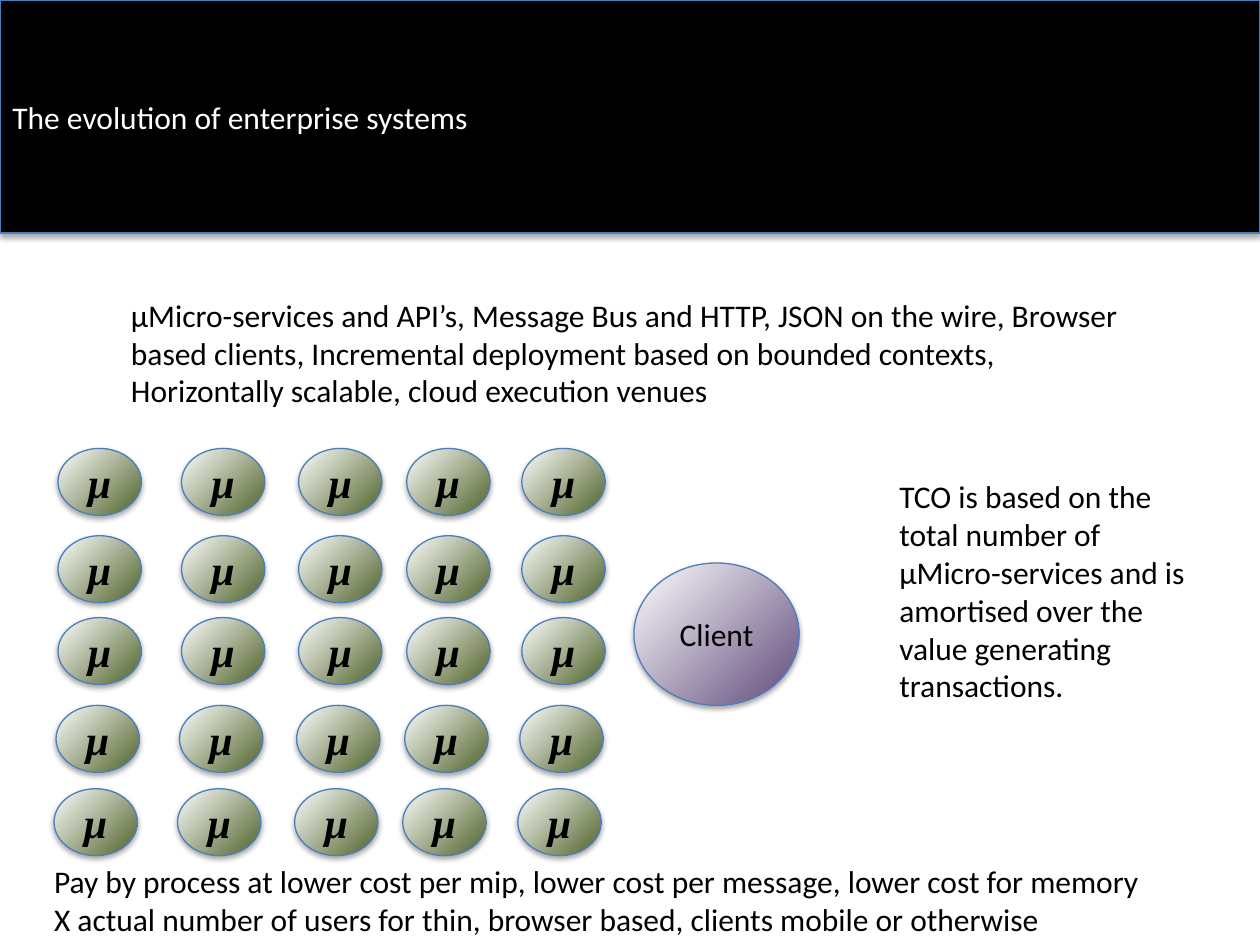
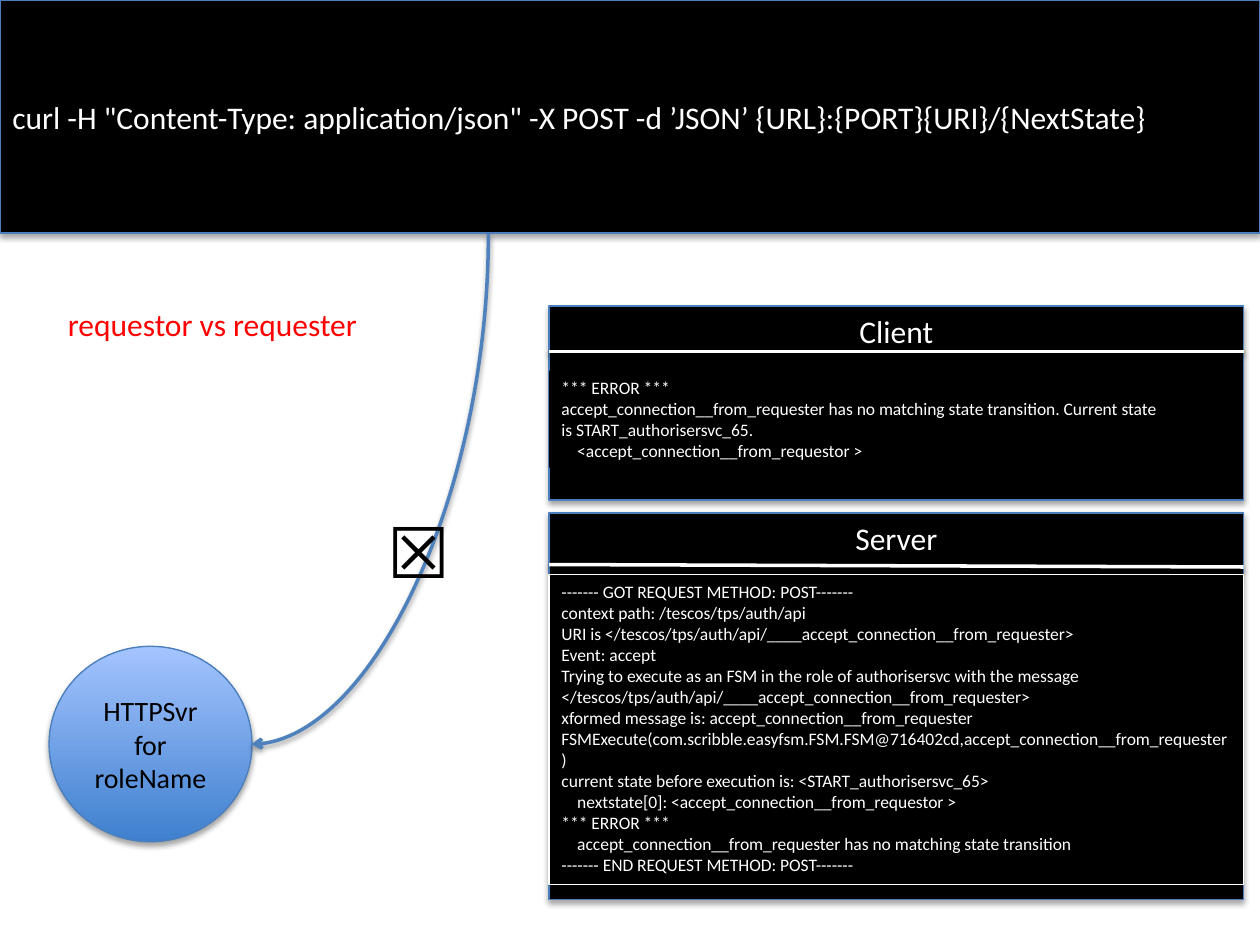
from lxml.etree import SubElement
from pptx import Presentation
from pptx.dml.color import RGBColor
from pptx.enum.shapes import MSO_CONNECTOR, MSO_SHAPE
from pptx.enum.text import MSO_ANCHOR, MSO_AUTO_SIZE, PP_ALIGN
from pptx.oxml.ns import qn
from pptx.util import Cm, Pt

BLACK, WHITE, RED = "000000", "FFFFFF", "FF0000"
OUTLINE, ARROW = "4B7EBC", "4F81BD"
OLIVE, PURPLE = "4F6228", "604A7B"
SKY_DARK, SKY_LIGHT = "3F80CE", "A4C4FF"

BODY = {"name": "Calibri", "size": Pt(18)}
NODE = {"name": "Calibri", "size": Pt(16)}
LOG = {"name": "Calibri", "size": Pt(10)}
CROSS = {"name": "Arial", "size": Pt(40)}
MU = {"name": "Times New Roman", "size": Pt(24), "bold": True, "italic": True}

SERVICE_COLUMNS = (1.17, 3.66, 6.02, 8.2, 10.52)
SERVICE_ROWS = ((9.04, 0), (10.8, 0), (12.45, 0), (14.22, -0.04), (15.9, -0.08))

PANEL_LEFT, PANEL_WIDTH = 11.07, 14

CLIENT_LOG = (
    "*** ERROR ***",
    "accept_connection__from_requester has no matching state transition. "
    "Current state is START_authorisersvc_65.",
    "    <accept_connection__from_requestor >",
)
SERVER_LOG = (
    "------- GOT REQUEST METHOD: POST-------",
    "context path: /tescos/tps/auth/api",
    "URI is </tescos/tps/auth/api/____accept_connection__from_requester>",
    "Event: accept",
    "Trying to execute as an FSM in the role of authorisersvc with the message "
    "</tescos/tps/auth/api/____accept_connection__from_requester>",
    "xformed message is: accept_connection__from_requester",
    "FSMExecute(com.scribble.easyfsm.FSM.FSM@716402cd,accept_connection__from_requester)",
    "current state before execution is: <START_authorisersvc_65>",
    "    nextstate[0]: <accept_connection__from_requestor >",
    "*** ERROR ***",
    "    accept_connection__from_requester has no matching state transition",
    "------- END REQUEST METHOD: POST-------",
)


def colour(value):
    return RGBColor.from_string(value)


def lengths(*values):
    return [Cm(value) for value in values]


def write(shape, lines, formats, ink, align=PP_ALIGN.LEFT, anchor=MSO_ANCHOR.TOP, wrap=True):
    frame = shape.text_frame
    frame.word_wrap = wrap
    frame.vertical_anchor = anchor
    for index, line in enumerate(lines):
        para = frame.add_paragraph() if index else frame.paragraphs[0]
        para.alignment = align
        span = para.add_run()
        span.text = line
        for name, value in formats.items():
            setattr(span.font, name, value)
        span.font.color.rgb = colour(ink)


def cast_shadow(item, distance=23000, alpha=35000):
    effects = SubElement(item._element.spPr, qn("a:effectLst"))
    shadow = SubElement(effects, qn("a:outerShdw"), blurRad="40000", dist=str(distance),
                        dir="5400000", rotWithShape="0")
    tint = SubElement(shadow, qn("a:srgbClr"), val=BLACK)
    SubElement(tint, qn("a:alpha"), val=str(alpha))


def add_outline(shape, ink=OUTLINE):
    shape.line.color.rgb = colour(ink)
    shape.line.width = Pt(0.75)


def add_block(page, place):
    block = page.shapes.add_shape(MSO_SHAPE.RECTANGLE, *lengths(*place))
    block.fill.solid()
    block.fill.fore_color.rgb = colour(BLACK)
    return block


def add_panel(page, place, label, align, anchor):
    panel = add_block(page, place)
    add_outline(panel)
    cast_shadow(panel)
    write(panel, [label], BODY, WHITE, align, anchor)


def add_title_band(page, title):
    add_panel(page, (0, 0, 25.4, 4.7), title, PP_ALIGN.LEFT, MSO_ANCHOR.MIDDLE)


def add_log(page, place, lines, ink=None):
    log = add_block(page, place)
    if ink:
        add_outline(log, ink)
    else:
        log.line.fill.background()
    log.shadow.inherit = False
    write(log, lines, LOG, WHITE)
    log.text_frame.auto_size = MSO_AUTO_SIZE.SHAPE_TO_FIT_TEXT


def add_ellipse(page, place, lines, formats, dark, light=WHITE, radial=True):
    ellipse = page.shapes.add_shape(MSO_SHAPE.OVAL, *lengths(*place))
    ellipse.fill.gradient()
    ellipse.fill.gradient_angle = 90
    for stop, ink in zip(ellipse.fill.gradient_stops, (dark, light)):
        stop.color.rgb = colour(ink)
    if radial:
        gradient = ellipse._element.spPr.find(qn("a:gradFill"))
        gradient.remove(gradient.find(qn("a:lin")))
        route = SubElement(gradient, qn("a:path"), path="circle")
        SubElement(route, qn("a:fillToRect"), l="100000", t="100000", r="0", b="0")
    add_outline(ellipse)
    cast_shadow(ellipse)
    write(ellipse, lines, formats, BLACK, PP_ALIGN.CENTER, MSO_ANCHOR.MIDDLE)


def add_note(page, place, lines, formats=BODY, ink=BLACK, wrap=True):
    box = page.shapes.add_textbox(*lengths(*place))
    write(box, lines, formats, ink, wrap=wrap)
    box.text_frame.auto_size = MSO_AUTO_SIZE.SHAPE_TO_FIT_TEXT


def add_line(page, ends, ink, kind=MSO_CONNECTOR.STRAIGHT):
    line = page.shapes.add_connector(kind, *lengths(*ends))
    line.line.color.rgb = colour(ink)
    line.line.width = Pt(2)
    cast_shadow(line, 20000, 38000)
    return line


def add_request_arrow(page):
    arrow = add_line(page, (2.31, 7.47, 12.6, 12.25), ARROW, MSO_CONNECTOR.CURVE)
    properties = arrow._element.spPr
    properties.find(qn("a:xfrm")).set("rot", "5400000")
    properties.find(qn("a:prstGeom")).set("prst", "curvedConnector2")
    SubElement(properties.find(qn("a:ln")), qn("a:tailEnd"), type="arrow")


def build_evolution(page):
    add_title_band(page, "The evolution of enterprise systems")
    add_note(page, (2.39, 5.84, 21.41, 2.57), [
        "μMicro-services and API’s, Message Bus and HTTP, JSON on the wire, Browser based "
        "clients, Incremental deployment based on bounded contexts,",
        "Horizontally scalable, cloud execution venues",
    ])
    add_ellipse(page, (12.78, 11.35, 3.33, 2.87), ["Client"], BODY, PURPLE)
    add_note(page, (0.84, 17.25, 22.73, 1.8), [
        "Pay by process at lower cost per mip, lower cost per message, lower cost for memory",
        "X actual number of users for thin, browser based, clients mobile or otherwise",
    ], wrap=False)
    for left in SERVICE_COLUMNS:
        for top, shift in SERVICE_ROWS:
            add_ellipse(page, (left + shift, top, 1.68, 1.35), ["μ"], MU, OLIVE)
    add_note(page, (17.88, 9.5, 6.43, 4.88), [
        "TCO is based on the total number of μMicro-services and is amortised over the "
        "value generating transactions.",
    ])


def build_request(page):
    add_title_band(page, 'curl -H "Content-Type: application/json" -X POST -d ’JSON’ '
                         "{URL}:{PORT}{URI}/{NextState}")
    add_ellipse(page, (0.99, 13.03, 4.09, 3.94), ["HTTPSvr for", "roleName"], NODE,
                SKY_DARK, SKY_LIGHT, radial=False)
    add_request_arrow(page)
    add_note(page, (7.57, 10.13, 1.78, 1.96), ["☒"], CROSS, wrap=False)
    for label, top, height in (("Client", 6.17, 3.91), ("Server", 10.34, 7.8)):
        add_panel(page, (PANEL_LEFT, top, PANEL_WIDTH, height), label,
                  PP_ALIGN.CENTER, MSO_ANCHOR.TOP)
    for start, end in ((7.09, 7.09), (11.38, 11.43)):
        add_line(page, (PANEL_LEFT, start, PANEL_LEFT + PANEL_WIDTH, end), WHITE)
    add_log(page, (PANEL_LEFT, 11.58, PANEL_WIDTH, 6.25), SERVER_LOG, WHITE)
    add_log(page, (PANEL_LEFT, 7.47, 12.7, 1.96), CLIENT_LOG)
    add_note(page, (1.12, 6.02, 6.45, 1.02), ["requestor vs requester"], ink=RED, wrap=False)


def main():
    deck = Presentation()
    deck.slide_width, deck.slide_height = lengths(25.4, 19.05)
    for build in (build_evolution, build_request):
        build(deck.slides.add_slide(deck.slide_layouts[6]))
    deck.save("out.pptx")


if __name__ == "__main__":
    main()
